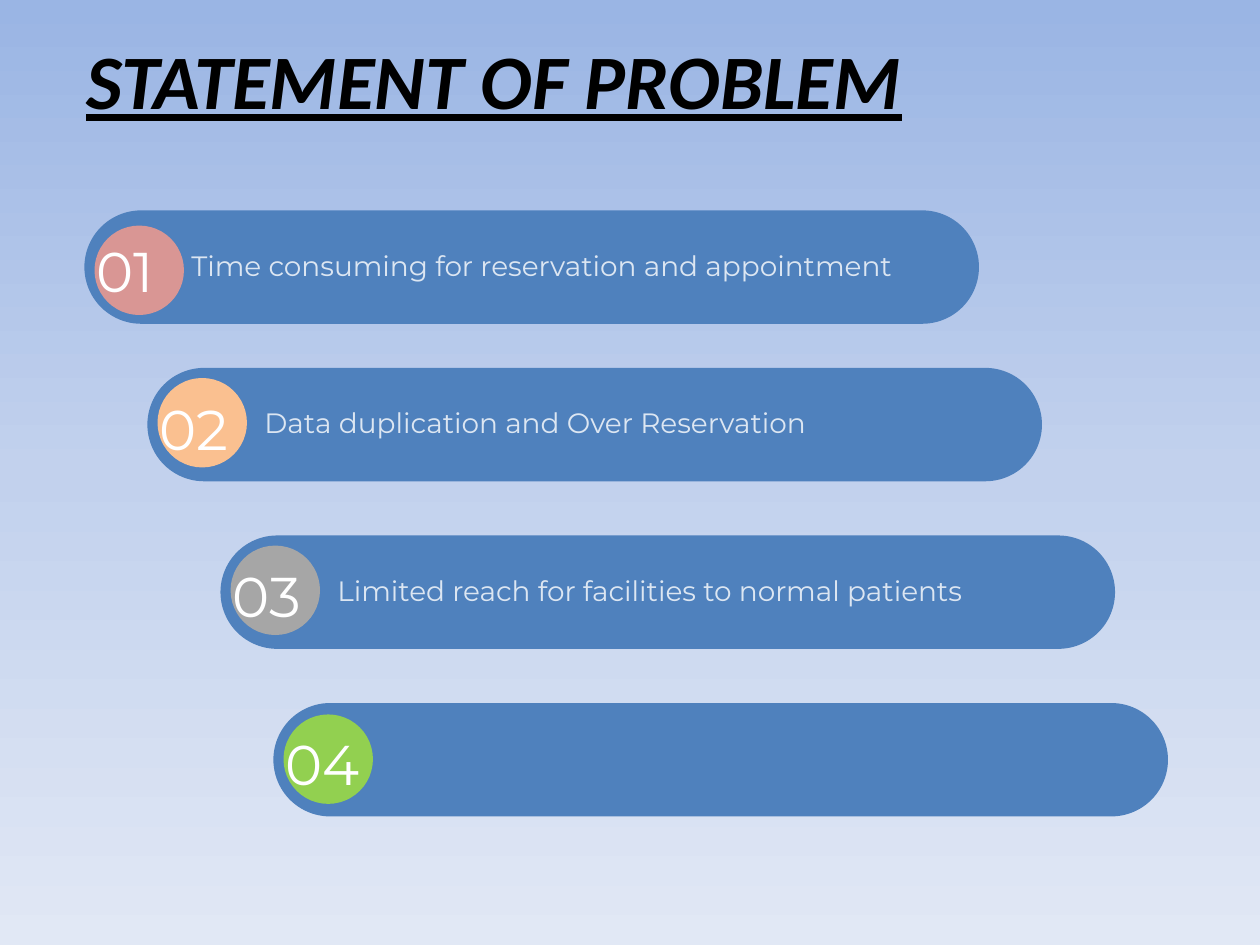
from lxml import etree
from pptx import Presentation
from pptx.dml.color import RGBColor
from pptx.enum import shapes, text
from pptx.oxml.ns import qn
from pptx.util import Inches, Pt

BLACK = RGBColor(0x00, 0x00, 0x00)
WHITE = RGBColor(0xFF, 0xFF, 0xFF)
PALE_BLUE = RGBColor(0xDC, 0xE6, 0xF2)
BLUE = RGBColor(0x4F, 0x81, 0xBD)
ROSE = RGBColor(0xD9, 0x96, 0x94)
PEACH = RGBColor(0xFA, 0xC0, 0x90)
GRAY = RGBColor(0xA6, 0xA6, 0xA6)
GREEN = RGBColor(0x92, 0xD0, 0x50)
SKY = [(0, RGBColor(0x9A, 0xB5, 0xE4)), (50, RGBColor(0xC2, 0xD1, 0xED)),
       (100, RGBColor(0xE1, 0xE8, 0xF5))]

# bar left and top, circle top, colour, problem, (text left, top, width, height)
PROBLEMS = [
    (0.67, 1.67, 1.79, ROSE, "Time consuming for reservation and appointment",
     (1.42, 1.92, 6.33, 0.67)),
    (1.17, 2.92, 3.00, PEACH, "Data duplication and Over Reservation",
     (2.00, 3.17, 4.93, 0.37)),
    (1.75, 4.25, 4.33, GRAY, "Limited reach for facilities to normal patients",
     (2.58, 4.50, 5.79, 0.37)),
    (2.17, 5.58, 5.67, GREEN, None, None),
]


def paint_background(page, stops):
    """Fill the page with a top-to-bottom gradient of (percent, colour) stops."""
    fill = page.background.fill
    fill.gradient()
    fill.gradient_angle = 270
    stop_list = page.element.find(".//" + qn("a:gsLst"))
    for stop in list(stop_list):
        stop_list.remove(stop)
    for percent, color in stops:
        stop = etree.SubElement(stop_list, qn("a:gs"), pos=str(percent * 1000))
        etree.SubElement(stop, qn("a:srgbClr"), val=str(color))


def write(frame, words, size, color, font="Montserrat", align=None, **style):
    para = frame.paragraphs[0]
    para.alignment = align
    span = para.add_run()
    span.text = words
    span.font.name = font
    span.font.size = Pt(size)
    span.font.color.rgb = color
    for name, value in style.items():
        setattr(span.font, name, value)


def add_title(page, words):
    title = page.shapes.title
    title.left, title.top = Inches(-0.58), Inches(0)
    title.width, title.height = Inches(9), Inches(1.25)
    title.text_frame.vertical_anchor = text.MSO_ANCHOR.MIDDLE
    write(title.text_frame, words, 44, BLACK, font="Calibri",
          align=text.PP_ALIGN.CENTER, bold=True, italic=True, underline=True)


def add_solid(page, kind, left, top, width, height, color):
    shape = page.shapes.add_shape(
        kind, Inches(left), Inches(top), Inches(width), Inches(height))
    shape.shadow.inherit = False
    shape.fill.solid()
    shape.fill.fore_color.rgb = color
    shape.line.fill.background()
    return shape


def add_label(page, words, left, top, width, height, size, color):
    box = page.shapes.add_textbox(
        Inches(left), Inches(top), Inches(width), Inches(height))
    frame = box.text_frame
    frame.word_wrap = False
    frame.auto_size = text.MSO_AUTO_SIZE.SHAPE_TO_FIT_TEXT
    write(frame, words, size, color)


def add_problem(page, number, left, top, circle_top, color, problem, place):
    bar = add_solid(page, shapes.MSO_SHAPE.ROUNDED_RECTANGLE,
                    left, top, 7.1, 0.9, BLUE)
    bar.adjustments[0] = 0.5
    add_solid(page, shapes.MSO_SHAPE.OVAL,
              left + 0.08, circle_top, 0.71, 0.71, color)
    add_label(page, f"{number:02}", left, top + 0.16, 0.8, 0.64, 32, WHITE)
    if problem:
        add_label(page, problem, *place, 16, PALE_BLUE)


def main():
    deck = Presentation()
    deck.slide_width, deck.slide_height = Inches(10), Inches(7.5)
    page = deck.slides.add_slide(deck.slide_layouts.get_by_name("Title Only"))
    paint_background(page, SKY)
    add_title(page, "STATEMENT OF PROBLEM")
    for number, problem in enumerate(PROBLEMS, start=1):
        add_problem(page, number, *problem)
    deck.save("out.pptx")


if __name__ == "__main__":
    main()
